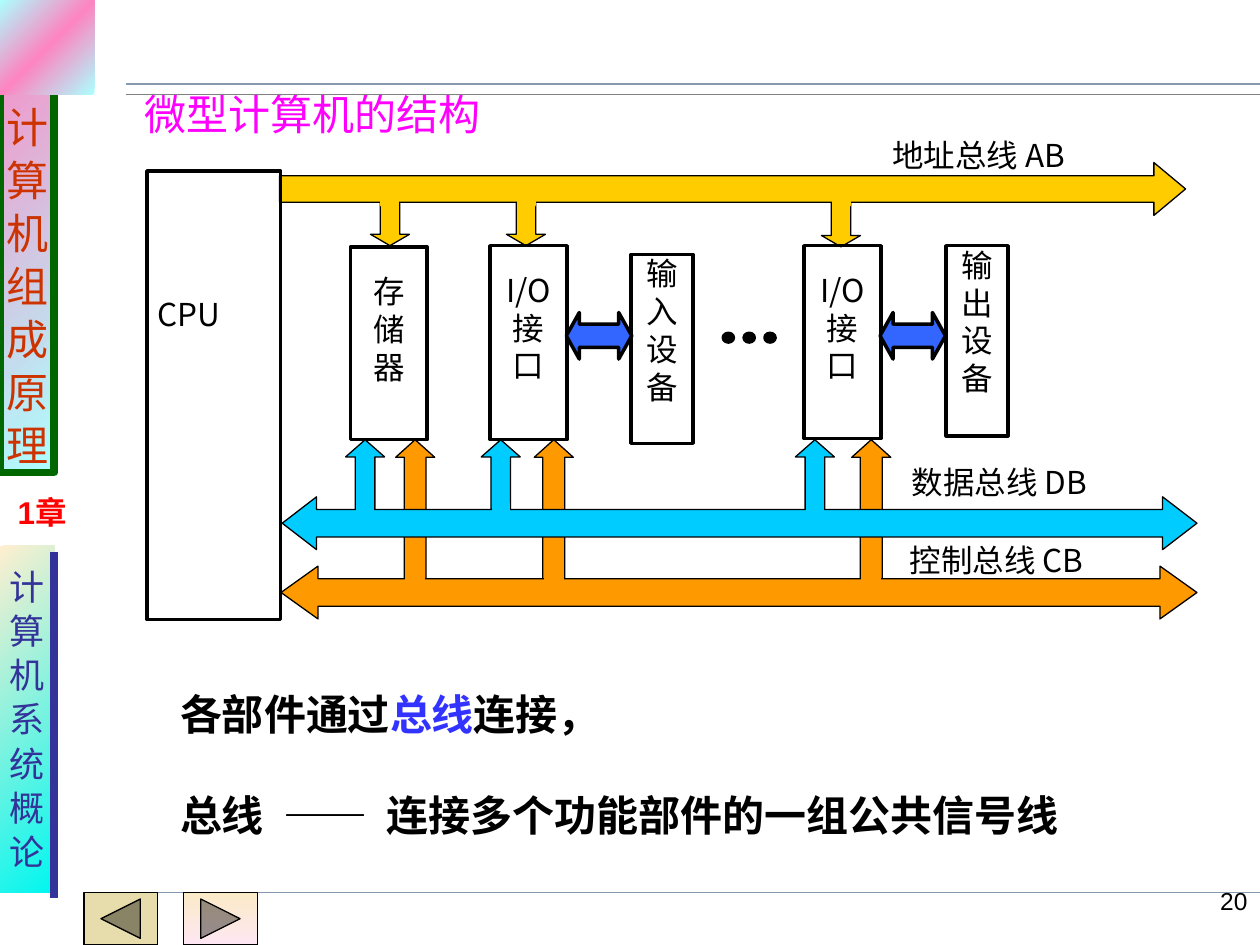
from copy import deepcopy
from lxml import etree
from pptx import Presentation
from pptx.dml.color import RGBColor
from pptx.enum.shapes import MSO_CONNECTOR, MSO_SHAPE
from pptx.enum.text import MSO_ANCHOR, MSO_AUTO_SIZE, PP_ALIGN
from pptx.oxml.ns import qn
from pptx.util import Pt

RECT = MSO_SHAPE.RECTANGLE
DOWN, UP = MSO_SHAPE.DOWN_ARROW, MSO_SHAPE.UP_ARROW
RIGHT, BOTH = MSO_SHAPE.RIGHT_ARROW, MSO_SHAPE.LEFT_RIGHT_ARROW
OVAL = MSO_SHAPE.OVAL
BACK = MSO_SHAPE.ACTION_BUTTON_BACK_OR_PREVIOUS
NEXT = MSO_SHAPE.ACTION_BUTTON_FORWARD_OR_NEXT
LINE = MSO_CONNECTOR.STRAIGHT
TOP, MIDDLE = MSO_ANCHOR.TOP, MSO_ANCHOR.MIDDLE
LEFT, CENTER, END = PP_ALIGN.LEFT, PP_ALIGN.CENTER, PP_ALIGN.RIGHT
NONE = MSO_AUTO_SIZE.NONE

BLACK = RGBColor(0, 0, 0)
GREEN = RGBColor(0x00, 0x66, 0x00)
SLATE = RGBColor(0x87, 0x99, 0xAE)
GRAY = RGBColor(0x80, 0x80, 0x80)
NAVY = RGBColor(0x33, 0x33, 0x99)
RUST = RGBColor(0xCC, 0x33, 0x00)
RED = RGBColor(0xFF, 0x00, 0x00)
PINK = RGBColor(0xFD, 0x85, 0xC1)
ICE = RGBColor(0xAD, 0xFF, 0xFF)
CREAM = RGBColor(0xFF, 0xEF, 0xCF)
AQUA = RGBColor(0x00, 0xF6, 0xF0)
KHAKI = RGBColor(0xE6, 0xDC, 0xAC)
PEACH = RGBColor(0xFB, 0xEA, 0xC7)
ROSE = RGBColor(0xFE, 0xE7, 0xF2)
MAGENTA = RGBColor(0xFF, 0x00, 0xFF)
YELLOW = RGBColor(0xFF, 0xCC, 0x00)
ORANGE = RGBColor(0xFF, 0x99, 0x00)
CYAN = RGBColor(0x00, 0xCC, 0xFF)
BLUE = RGBColor(0x33, 0x66, 0xFF)
VIOLET = RGBColor(0x33, 0x33, 0xFF)

CJK, SANS, SERIF = "Noto Sans CJK SC", "Arial", "Times New Roman"

deck = Presentation()
deck.slide_width, deck.slide_height = Pt(720), Pt(540)
slide = deck.slides.add_slide(deck.slide_layouts[5])
shapes = slide.shapes


def put(kind, box, fill=None, line=None, width=0.75, adj=(), turn=315):
    shape = shapes.add_shape(kind, *map(Pt, box))
    shape.shadow.inherit = False
    for i, part in enumerate(adj):
        shape.adjustments[i] = part
    if fill is None:
        shape.fill.background()
    elif isinstance(fill, list):
        shape.fill.gradient()
        shape.fill.gradient_angle = turn
        for stop, tone in zip(shape.fill.gradient_stops, fill):
            stop.color.rgb = tone
    else:
        shape.fill.solid()
        shape.fill.fore_color.rgb = fill
    if line is None:
        shape.line.fill.background()
    else:
        shape.line.color.rgb = line
        shape.line.width = Pt(width)
    return shape


def say(shape, lines, size=18, font=CJK, color=BLACK, bold=False, align=LEFT,
        inset=(7.2, 3.6, 7.2, 3.6), anchor=TOP, gap=0, wrap=True):
    frame = shape.text_frame
    frame.auto_size, frame.word_wrap, frame.vertical_anchor = NONE, wrap, anchor
    (frame.margin_left, frame.margin_top,
     frame.margin_right, frame.margin_bottom) = map(Pt, inset)
    for i, line in enumerate(lines):
        para = frame.add_paragraph() if i else frame.paragraphs[0]
        para.alignment = align
        para.line_spacing = Pt(size * 1.2)
        para.space_before = Pt(gap if i else 0)
        for text, tone in ([(line, color)] if isinstance(line, str) else line):
            run = para.add_run()
            run.text = text
            run.font.size, run.font.bold = Pt(size), bold
            run.font.color.rgb = tone
            run.font.name = font
            east = etree.SubElement(run.font._element, qn("a:ea"))
            east.set("typeface", CJK)


rules = [(72, 48.1, 720, 48.1, SLATE, 0.75), (72, 54, 720, 54, GRAY, 0.75),
         (48, 509.9, 720, 509.9, SLATE, 0.75), (31, 315.4, 31, 513.4, NAVY, 4.5)]

course = put(RECT, (0, 0, 31, 270), [PINK, ICE], GREEN, 4.5)
say(course, "计算机组成原理", 24, SANS, RUST, align=CENTER,
    inset=(7.2, 58, 7.2, 3.6), gap=1.5, wrap=False)
unit = put(RECT, (0, 311.8, 31, 198), [CREAM, AQUA])
say(unit, "计算机系统概论", 20, SANS, NAVY, align=CENTER,
    anchor=MIDDLE, gap=1.2, wrap=False)
for x1, y1, x2, y2, tone, width in rules:
    rule = shapes.add_connector(LINE, Pt(x1), Pt(y1), Pt(x2), Pt(y2))
    rule.line.color.rgb, rule.line.width = tone, Pt(width)
    etree.SubElement(rule._element.spPr, qn("a:effectLst"))
put(BACK, (48, 510, 42, 30), KHAKI, BLACK)
put(NEXT, (105, 510, 42, 30), [PEACH, ROSE], BLACK, turn=270)

badge = put(RECT, (0, 0, 54, 54), [ICE, ICE])
stops = badge._element.spPr.find(".//" + qn("a:gsLst"))
stops.insert(1, deepcopy(stops[0]))
stops[1].set("pos", "50000")
badge.fill.gradient_stops[1].color.rgb = PINK

title = shapes.title
title.left, title.top, title.width, title.height = map(Pt, (75.6, 46.8, 240, 36))
say(title, ["微型计算机的结构"], 24, SERIF, MAGENTA)

for x, y in [(289.4, 113.8), (211.7, 113.8), (469.4, 114.5)]:
    put(DOWN, (x, y, 22.3, 26.6), YELLOW, BLACK, adj=(0.5, 0.29))
for x in (486.7, 305.3, 226.1):
    put(UP, (x, 251.3, 22.3, 89.3), ORANGE, BLACK, adj=(0.56, 0.45))
put(RIGHT, (159.8, 92.9, 517.7, 30.2), YELLOW, BLACK, adj=(0.5, 0.6))

parts = [((200.2, 141.1, 43.9, 110.2), "存储器", 14.4),
         ((280.1, 140.4, 43.9, 110.9), ["I/O", "接", "口"], 14.4),
         ((360.7, 145.4, 35.3, 108), "输入设备", 0),
         ((459.4, 140.4, 43.9, 110.2), ["I/O", "接", "口"], 14.4),
         ((540.7, 140.4, 35.3, 108.7), "输出设备", 0)]
for box, lines, top in parts:
    say(put(RECT, box, None, BLACK, 2), lines, align=CENTER, inset=(0, top, 0, 0))
for x in (323.6, 502.9):
    put(BOTH, (x, 178.6, 37.4, 26.6), BLUE, BLACK, 2, (0.5, 0.28))
for x in (413.3, 425.2, 437.1):
    put(OVAL, (x, 190.5, 5.8, 5), BLACK, BLACK, 2)

put(BOTH, (161.3, 283.9, 522.7, 30.2), CYAN, BLACK, adj=(0.52, 0.65))
put(BOTH, (160.6, 323.5, 523.4, 30.2), ORANGE, BLACK, adj=(0.52, 0.7))
for x in (197.5, 275, 454.5):
    put(UP, (x, 251.3, 22.3, 39.6), CYAN, BLACK, adj=(0.5, 0.44))

joints = [(CYAN, (204.5, 282.2, 461.5), 287.8, 8.3, 6.5),
          (ORANGE, (232.6, 311.8, 493.2), 328, 9.4, 6.5),
          (YELLOW, (218.2, 296.6, 476.6), 112.8, 8.6, 4.3)]
for tone, row, y, wide, high in joints:
    for x in row:
        put(RECT, (x, y, wide, high), tone, tone, 2)

core = put(RECT, (84, 97.7, 76.3, 256.3), None, BLACK, 2)
say(core, ["CPU"], inset=(5.8, 71, 0, 0))

flat = (0, 0, 0, 0)
notes = [((509.8, 77.8, 180, 34.6), ["地址总线 AB"], {"inset": flat}),
         ((521, 264.6, 175, 23.8), ["数据总线 DB"], {"inset": flat}),
         ((519.8, 308.9, 146.9, 23), ["控制总线 CB"], {"inset": flat}),
         ((0, 278.4, 48.2, 28.8), ["1章"],
          {"font": SANS, "color": RED, "bold": True, "align": CENTER}),
         ((648, 502.6, 72, 37.4), ["20"],
          {"size": 14, "font": SANS, "align": END})]
for box, lines, style in notes:
    say(shapes.add_textbox(*map(Pt, box)), lines, **style)

body = shapes.add_textbox(Pt(95.8), Pt(390.2), Pt(552.2), Pt(93.6))
say(body, [[("各部件通过", BLACK), ("总线", VIOLET), ("连接，", BLACK)],
           "总线\t——\t连接多个功能部件的一组公共信号线"],
    24, SERIF, bold=True, gap=28.8)
tabs = etree.SubElement(body.text_frame.paragraphs[1]._p.get_or_add_pPr(),
                        qn("a:tabLst"))
for place in (59, 118):
    etree.SubElement(tabs, qn("a:tab"), pos=str(Pt(place)), algn="l")

deck.save("out.pptx")
